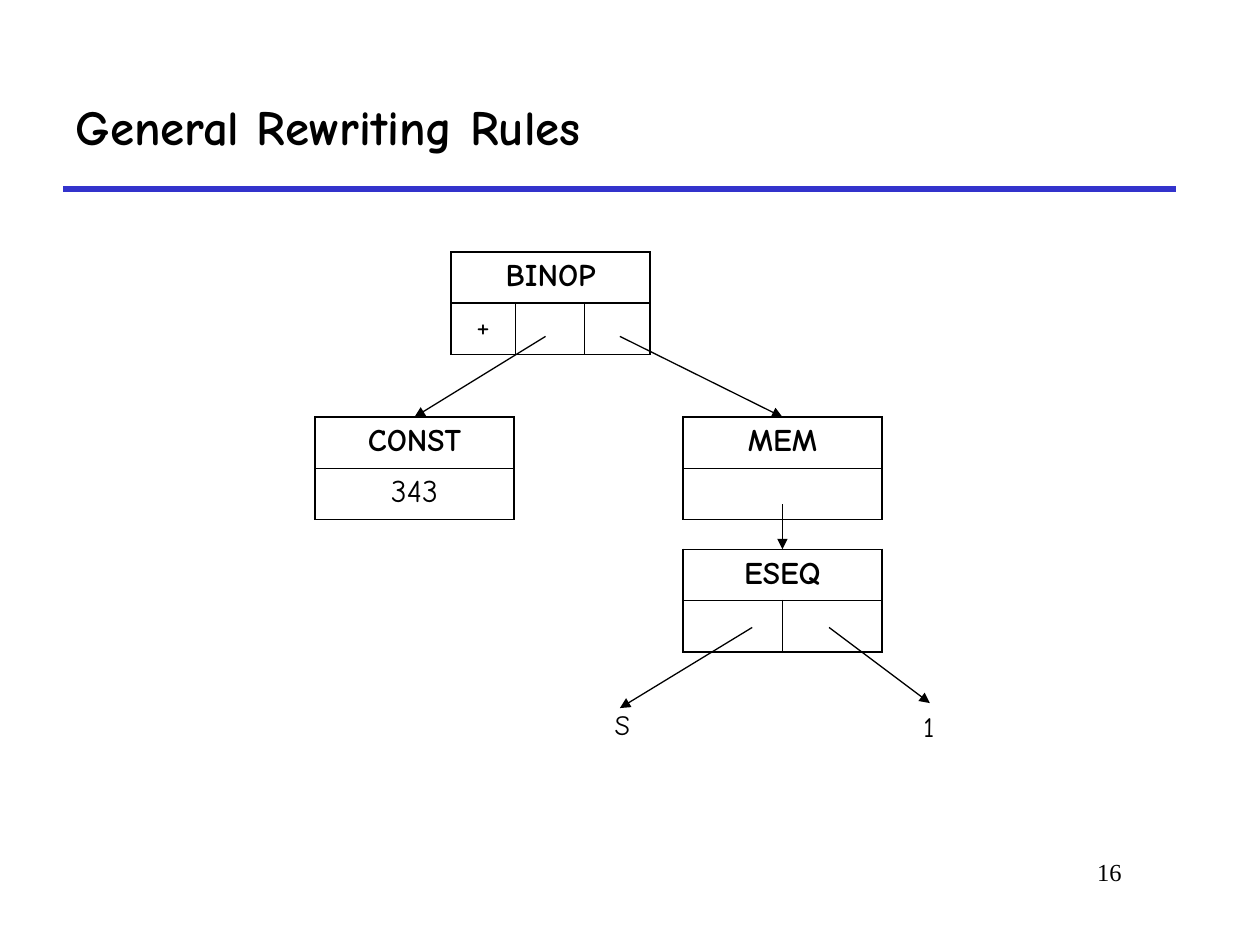
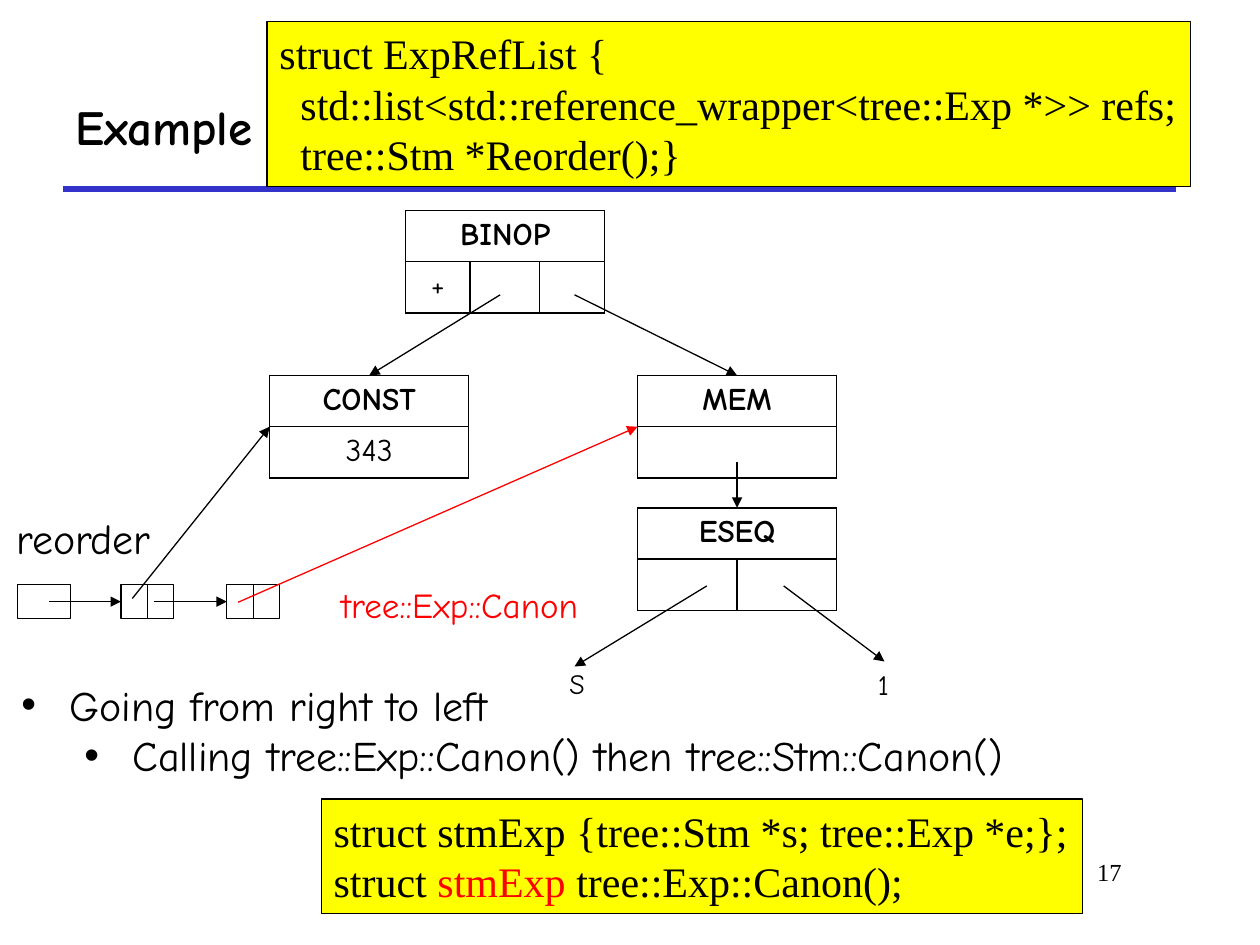
from lxml import etree
from pptx import Presentation
from pptx.dml.color import RGBColor
from pptx.enum.shapes import MSO_CONNECTOR, MSO_SHAPE
from pptx.enum.text import MSO_ANCHOR, MSO_AUTO_SIZE, PP_ALIGN
from pptx.oxml.ns import qn
from pptx.util import Inches, Pt

STRAIGHT = MSO_CONNECTOR.STRAIGHT
RECTANGLE = MSO_SHAPE.RECTANGLE
TOP, MIDDLE = MSO_ANCHOR.TOP, MSO_ANCHOR.MIDDLE
FIXED, GROW = MSO_AUTO_SIZE.NONE, MSO_AUTO_SIZE.SHAPE_TO_FIT_TEXT
LEFT, CENTER, RIGHT = PP_ALIGN.LEFT, PP_ALIGN.CENTER, PP_ALIGN.RIGHT

HAND, SERIF = "Comic Neue", "Times New Roman"
THEME = {
    "ink": RGBColor(0, 0, 0),
    "accent": RGBColor(255, 0, 0),
    "rule": RGBColor(0x33, 0x33, 0xCC),
    "code": RGBColor(255, 255, 0),
    "thin": Pt(0.75),
    "border": Pt(1),
    "title": {"name": HAND, "size": Pt(28), "bold": True},
    "heading": {"name": HAND, "size": Pt(18), "bold": True},
    "value": {"name": HAND, "size": Pt(18), "bold": False},
    "leaf": {"name": HAND, "size": Pt(16), "bold": False},
    "type": {"name": HAND, "size": Pt(20), "bold": False},
    "body": {"name": HAND, "size": Pt(24), "bold": False},
    "listing": {"name": SERIF, "size": Pt(24), "bold": False},
    "number": {"name": SERIF, "size": Pt(14), "bold": False},
}
FIXED_FRAME = {"auto_size": FIXED, "word_wrap": True}
GROWING_FRAME = {"auto_size": GROW, "word_wrap": False, "vertical_anchor": TOP}

WIDTH, HEIGHT = Inches(10), Inches(7.5)
COLUMN, ROW = WIDTH // 100, HEIGHT // 75
NODE_WIDTH, NODE_ROW = 15.8, 4.07
CELL_WIDTH, CELL_HEIGHT, CELL_TOP = 4.2, 2.7, 46.4
CELL_MIDDLE = CELL_TOP + CELL_HEIGHT / 2

NODES = [
    (0, 0, "BINOP", ["+", "", ""], [5.1, 5.5, 5.2]),
    (-10.8, 13.1, "CONST", ["343"], [NODE_WIDTH]),
    (18.4, 13.1, "MEM", [""], [NODE_WIDTH]),
    (18.4, 23.6, "ESEQ", ["", ""], [NODE_WIDTH / 2] * 2),
]
BRANCHES = [
    (7.5, 6.7, -2.9, 13.1),
    (13.4, 6.7, 26.3, 13.1),
    (26.3, 20, 26.3, 23.6),
    (23.9, 29.8, 13.4, 36.2),
    (30, 29.8, 38, 35.8),
]
LEAVES = [(12, 35.7, 3.6, "S"), (36.5, 35.8, 3, "1")]


def grid(*lengths):
    return [round(n * (ROW if i % 2 else COLUMN)) for i, n in enumerate(lengths)]


def link(slide, ends, color="ink", width="thin", arrow=True):
    line = slide.shapes.add_connector(STRAIGHT, *grid(*ends))
    line.line.color.rgb = THEME[color]
    line.line.width = THEME.get(width, width)
    if arrow:
        etree.SubElement(line.line._get_or_add_ln(), qn("a:tailEnd"), type="triangle")
    etree.SubElement(line._element.spPr, qn("a:effectLst"))
    return line


prs = Presentation()
prs.slide_width, prs.slide_height = WIDTH, HEIGHT
texts = []

for heading, number, layout, root_x, root_y in [
    ("General Rewriting Rules", "16", 5, 35.8, 20),
    ("Example", "17", 1, 32.2, 16.7),
]:
    slide = prs.slides.add_slide(prs.slide_layouts[layout])
    link(slide, (5, 15, 93.3, 15), "rule", Pt(3), False)
    title = slide.shapes.title
    title.left, title.top, title.width, title.height = grid(5, 5, 88.3, 10)
    texts.append((title.text_frame, "title", LEFT,
                  {**FIXED_FRAME, "vertical_anchor": MIDDLE}, [heading]))
    page = slide.shapes.add_textbox(*grid(69.2, 67.5, 20.8, 5))
    texts.append((page.text_frame, "number", RIGHT, FIXED_FRAME, [number]))

    for x, y, operator, operands, widths in NODES:
        node = slide.shapes.add_table(
            2, len(widths), *grid(root_x + x, root_y + y, NODE_WIDTH, 2 * NODE_ROW)).table
        for column, width in zip(node.columns, widths):
            column.width = round(width * COLUMN)
        for row in node.rows:
            row.height = round(NODE_ROW * ROW)
        for cell in node.iter_cells():
            for side in ("a:lnL", "a:lnR", "a:lnT", "a:lnB"):
                edge = etree.SubElement(cell._tc.get_or_add_tcPr(), qn(side),
                                        w=str(THEME["border"]))
                paint = etree.SubElement(edge, qn("a:solidFill"))
                etree.SubElement(paint, qn("a:srgbClr"), val=str(THEME["ink"]))
            cell.fill.background()
        if len(widths) > 1:
            node.cell(0, 0).merge(node.cell(0, len(widths) - 1))
        texts.append((node.cell(0, 0).text_frame, "heading", CENTER, {}, [operator]))
        for column, operand in enumerate(operands):
            if operand:
                texts.append((node.cell(1, column).text_frame, "value", CENTER, {}, [operand]))

    for x1, y1, x2, y2 in BRANCHES:
        link(slide, (root_x + x1, root_y + y1, root_x + x2, root_y + y2))
    for x, y, width, leaf in LEAVES:
        label = slide.shapes.add_textbox(*grid(root_x + x, root_y + y, width, 3.7))
        texts.append((label.text_frame, "leaf", LEFT, GROWING_FRAME, [leaf]))

list_cells = []
for left in (1.4, 9.6, 18):
    cell = slide.shapes.add_shape(RECTANGLE, *grid(left, CELL_TOP, CELL_WIDTH, CELL_HEIGHT))
    cell.shadow.inherit = False
    cell.fill.background()
    cell.line.color.rgb = THEME["ink"]
    cell.line.width = THEME["thin"]
    list_cells.append(cell)
    if len(list_cells) > 1:
        middle = left + CELL_WIDTH / 2
        divider = link(slide, (middle, CELL_TOP, middle, CELL_TOP + CELL_HEIGHT), arrow=False)
        divider.begin_connect(cell, 0)
        divider.end_connect(cell, 2)
for start, end, target in [(3.9, 9.6, list_cells[1]), (12.2, 18, list_cells[2])]:
    link(slide, (start, CELL_MIDDLE, end, CELL_MIDDLE)).end_connect(target, 1)

node_side = root_y + 13.1 + NODE_ROW
link(slide, (10.5, 47.5, root_x - 10.8, node_side))
link(slide, (18.9, 47.8, root_x + 18.4, node_side), "accent")

for place, style, line in [
    ((0.3, 40.2, 14.3, 5.1), "body", "reorder"),
    ((26.1, 45.8, 23.6, 4.4), "type", [("tree::Exp::Canon", "accent")]),
]:
    label = slide.shapes.add_textbox(*grid(*place))
    texts.append((label.text_frame, style, LEFT, GROWING_FRAME, [line]))

steps = slide.placeholders[1]
steps.left, steps.top, steps.width, steps.height = grid(0.7, 53.4, 88.3, 9.1)
texts.append((steps.text_frame, "body", LEFT, {**FIXED_FRAME, "vertical_anchor": TOP}, [
    "Going from right to left",
    "Calling tree::Exp::Canon() then tree::Stm::Canon()",
]))

for place, lines in [
    ((21.2, 1.7, 73.3, 13.1), [
        "struct ExpRefList {",
        "  std::list<std::reference_wrapper<tree::Exp *>> refs;",
        "  tree::Stm *Reorder();}",
    ]),
    ((25.5, 63.4, 60.4, 9.1), [
        "struct stmExp {tree::Stm *s; tree::Exp *e;};",
        [("struct ", "ink"), ("stmExp", "accent"), (" tree::Exp::Canon();", "ink")],
    ]),
]:
    listing = slide.shapes.add_shape(RECTANGLE, *grid(*place))
    listing.shadow.inherit = False
    listing.fill.solid()
    listing.fill.fore_color.rgb = THEME["code"]
    listing.line.color.rgb = THEME["ink"]
    listing.line.width = THEME["thin"]
    texts.append((listing.text_frame, "listing", LEFT, GROWING_FRAME, lines))

for frame, style, alignment, frame_format, lines in texts:
    for key, value in frame_format.items():
        setattr(frame, key, value)
    for index, line in enumerate(lines):
        paragraph = frame.add_paragraph() if index else frame.paragraphs[0]
        paragraph.alignment = alignment
        paragraph.space_before = Pt(0)
        for words, color in [(line, "ink")] if isinstance(line, str) else line:
            run = paragraph.add_run()
            run.text = words
            run.font.color.rgb = THEME[color]
            for key, value in THEME[style].items():
                setattr(run.font, key, value)

for level, step in enumerate(steps.text_frame.paragraphs):
    step.level = level
    properties = step._p.get_or_add_pPr()
    properties.set("marL", str(Inches(0.38 + 0.5 * level)))
    properties.set("indent", str(-Inches(0.38)))
    etree.SubElement(properties, qn("a:buFont"), typeface="Arial")
    etree.SubElement(properties, qn("a:buChar"), char="•")

prs.save("out.pptx")
